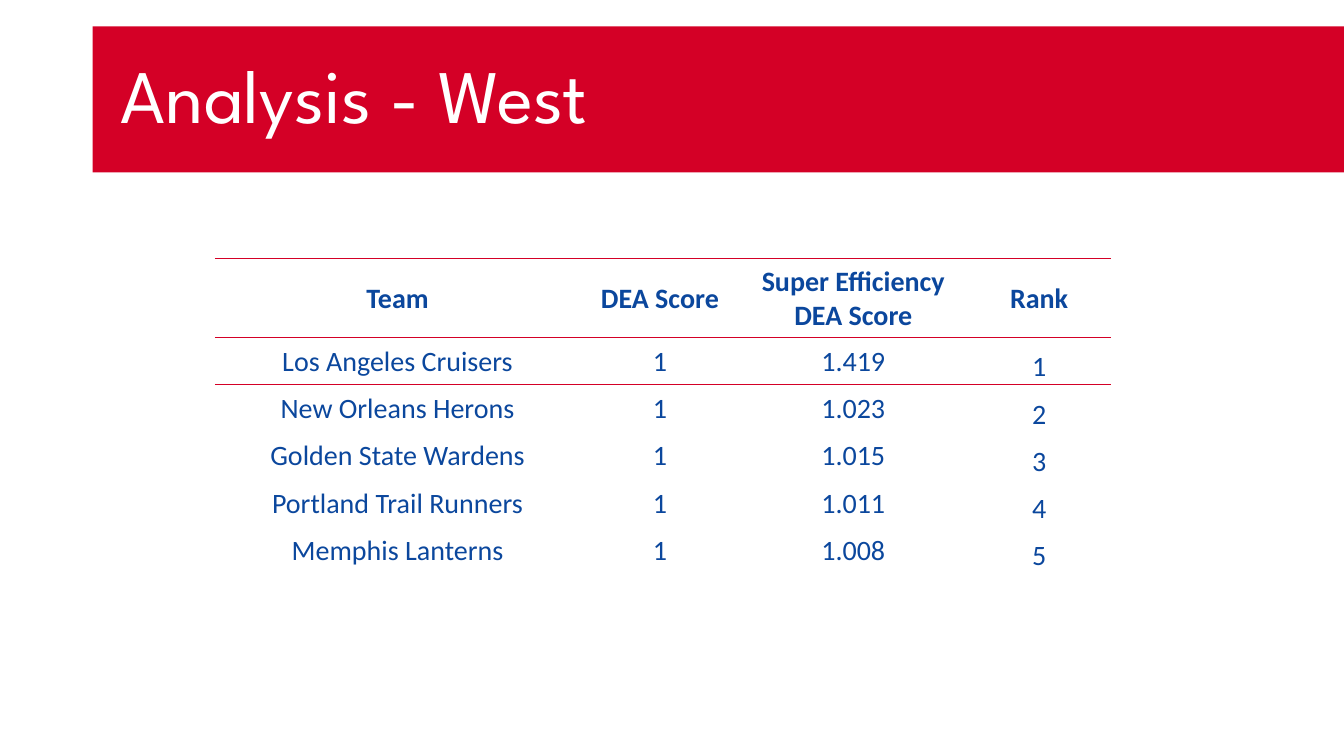
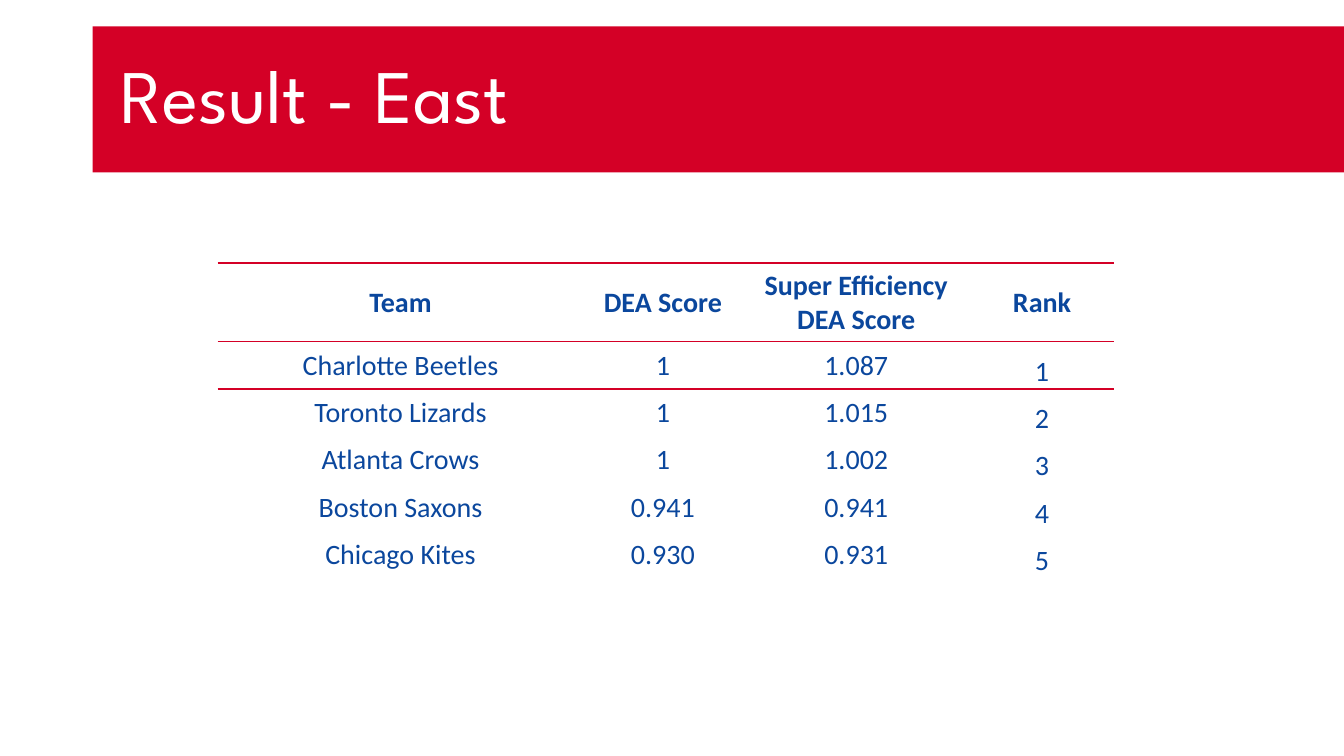
from lxml import etree
from pptx import Presentation, util as u
from pptx.dml.color import RGBColor
from pptx.enum import shapes, text
from pptx.oxml.ns import qn

COLOURS = {"band": "D40026", "rule": "D40026", "title": "FFFFFF", "body": "0B479D"}
TITLE_FONT = {"name": "League Spartan", "size": u.Pt(54), "bold": False}
BODY_FONT = {"name": "Calibri", "size": u.Pt(20), "bold": False}
HEADER_FONT = {**BODY_FONT, "bold": True}
PLAIN_STYLE = "{2D5ABB26-0587-4C30-8999-92F81FD0307C}"

# Boxes are left, top, width, height in percent of the slide.
TITLE_BOX = (6.9, 3.5, 93.1, 19.3)
COLUMN_WEIGHTS = (3.63, 1.58, 2.26, 1.43)
HEADER_WEIGHT, ROW_WEIGHT = 5, 3
HEADINGS = ("Team", "DEA Score", "Super Efficiency DEA Score", "Rank")

PAGES = [
    {
        "title": "Analysis - West",
        "box": (15.98, 34.2, 66.7, 41.67),
        "inset": 0.02,
        "scores": [
            ("Los Angeles Cruisers", "1", "1.419"),
            ("New Orleans Herons", "1", "1.023"),
            ("Golden State Wardens", "1", "1.015"),
            ("Portland Trail Runners", "1", "1.011"),
            ("Memphis Lanterns", "1", "1.008"),
        ],
    },
    {
        "title": "Result - East",
        "box": (16.2, 34.8, 66.7, 41.67),
        "inset": 0.01,
        "scores": [
            ("Charlotte Beetles", "1", "1.087"),
            ("Toronto Lizards", "1", "1.015"),
            ("Atlanta Crows", "1", "1.002"),
            ("Boston Saxons", "0.941", "0.941"),
            ("Chicago Kites", "0.930", "0.931"),
        ],
    },
]


def set_all(target, values):
    """Set each named attribute of the target."""
    for name, value in values.items():
        setattr(target, name, value)


def place(deck, box):
    """Turn a box in percent of the slide into slide lengths."""
    sides = (deck.slide_width, deck.slide_height) * 2
    return [u.Emu(round(side * share / 100)) for side, share in zip(sides, box)]


def write(frame, words, font, colour, alignment, spacing=1.0):
    """Write one formatted paragraph into a text frame."""
    para = frame.paragraphs[0]
    set_all(para, {"alignment": alignment, "line_spacing": spacing})
    span = para.add_run()
    span.text = words
    set_all(span.font, font)
    span.font.color.rgb = RGBColor.from_string(COLOURS[colour])


def add_title(deck, page, box, words):
    """Draw the title band that runs to the right edge."""
    band = page.shapes.add_shape(shapes.MSO_SHAPE.RECTANGLE, *place(deck, box))
    band.shadow.inherit = False
    band.fill.solid()
    band.fill.fore_color.rgb = RGBColor.from_string(COLOURS["band"])
    band.line.fill.background()
    set_all(band.text_frame, {
        "word_wrap": True,
        "vertical_anchor": text.MSO_ANCHOR.MIDDLE,
        "margin_left": u.Inches(0.28),
    })
    write(band.text_frame, words, TITLE_FONT, "title", text.PP_ALIGN.LEFT, 0.9)


def add_rule(cell, side):
    """Rule one side of a cell: lnT is the top, lnB the bottom."""
    properties = cell._tc.get_or_add_tcPr()
    line = etree.SubElement(properties, qn(f"a:{side}"), w=str(u.Pt(1)))
    fill = etree.SubElement(line, qn("a:solidFill"))
    etree.SubElement(fill, qn("a:srgbClr"), val=COLOURS["rule"])


def add_scores(deck, page, box, scores, inset):
    """Fill a box with the ranked table, ruled around its first two rows."""
    rows = [HEADINGS] + [(*score, str(rank)) for rank, score in enumerate(scores, 1)]
    left, top, width, height = place(deck, box)
    frame = page.shapes.add_table(len(rows), len(HEADINGS), left, top, width, height)
    table = frame.table
    set_all(table, {"first_row": False, "horz_banding": False})
    table._tbl.tblPr.find(qn("a:tableStyleId")).text = PLAIN_STYLE

    for column, weight in zip(table.columns, COLUMN_WEIGHTS):
        column.width = round(width * weight / sum(COLUMN_WEIGHTS))
    row_weights = [HEADER_WEIGHT] + [ROW_WEIGHT] * len(scores)
    for row, weight in zip(table.rows, row_weights):
        row.height = round(height * weight / sum(row_weights))

    margins = {f"margin_{side}": u.Inches(inset) for side in ("left", "right", "top")}
    for r, row in enumerate(rows):
        for c, words in enumerate(row):
            cell = table.cell(r, c)
            is_rank = r > 0 and c == len(row) - 1
            anchor = text.MSO_ANCHOR.BOTTOM if is_rank else text.MSO_ANCHOR.MIDDLE
            set_all(cell, {**margins, "margin_bottom": 0, "vertical_anchor": anchor})
            if r < 2:
                add_rule(cell, "lnT")
                add_rule(cell, "lnB")
            cell.fill.background()
            font = BODY_FONT if r else HEADER_FONT
            write(cell.text_frame, words, font, "body", text.PP_ALIGN.CENTER)


def build():
    """Build and save the deck."""
    deck = Presentation()
    set_all(deck, {"slide_width": u.Inches(13.33), "slide_height": u.Inches(7.5)})
    blank = deck.slide_layouts[6]
    for content in PAGES:
        page = deck.slides.add_slide(blank)
        add_title(deck, page, TITLE_BOX, content["title"])
        add_scores(deck, page, content["box"], content["scores"], content["inset"])
    deck.save("out.pptx")


build()
